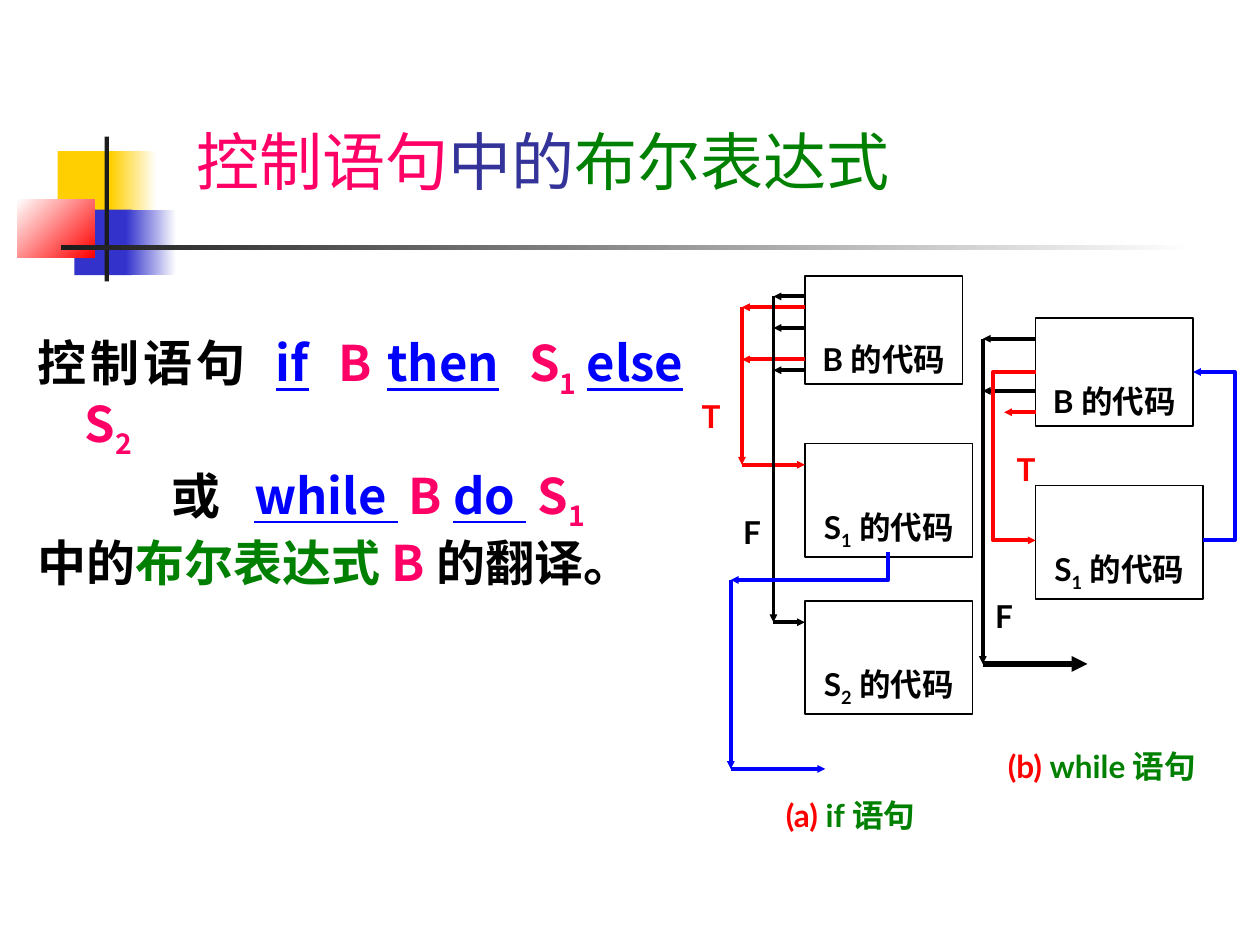
from typing import NamedTuple

from pptx import Presentation
from pptx.dml.color import RGBColor
from pptx.enum.shapes import MSO_CONNECTOR, MSO_SHAPE
from pptx.enum.text import MSO_ANCHOR, MSO_AUTO_SIZE, PP_ALIGN
from pptx.oxml.ns import qn
from pptx.util import Pt
from lxml import etree

RECT = MSO_SHAPE.RECTANGLE
STRAIGHT = MSO_CONNECTOR.STRAIGHT
TOP, BOTTOM = MSO_ANCHOR.TOP, MSO_ANCHOR.BOTTOM
LEFT, CENTER, JUSTIFY = PP_ALIGN.LEFT, PP_ALIGN.CENTER, PP_ALIGN.JUSTIFY
NO_AUTOFIT = MSO_AUTO_SIZE.NONE

SANS, LATO = "Noto Sans CJK JP", "Lato"
BLACK, WHITE, RED, BLUE = "000000", "FFFFFF", "FF0000", "0000FF"
PINK, GREEN, NAVY = "FF0066", "008000", "333399"
YELLOW, INDIGO, CHARCOAL = "FFCF01", "3333CC", "1C1C1C"


class Span(NamedTuple):
    text: str
    color: str = BLACK
    underline: bool = False
    subscript: bool = False


class Block(NamedTuple):
    x: float
    y: float
    w: float
    h: float
    start: str
    end: str = ""
    angle: float = 0


class Box(NamedTuple):
    x: float
    y: float
    w: float
    h: float
    spans: list[Span]


class Route(NamedTuple):
    color: str
    points: list[tuple[float, float]]
    width: float = 2.25
    head: str = "sm"


def rgb(value: str) -> RGBColor:
    return RGBColor.from_string(value)


def add_spans(p, spans: list[Span], font: str, size: float, bold: bool = True) -> None:
    for span in spans:
        r = p.add_run()
        r.text = span.text
        r.font.name, r.font.size, r.font.bold = font, Pt(size), bold
        r.font.color.rgb = rgb(span.color)
        if span.underline:
            r.font.underline = True
        rPr = r._r.get_or_add_rPr()
        if span.subscript:
            rPr.set("baseline", "-25000")
        etree.SubElement(rPr, qn("a:ea")).set("typeface", SANS)


def setup_frame(tf, anchor) -> None:
    tf.word_wrap, tf.auto_size, tf.vertical_anchor = True, NO_AUTOFIT, anchor


def draw_block(s, b: Block) -> None:
    sp = s.shapes.add_shape(RECT, Pt(b.x), Pt(b.y), Pt(b.w), Pt(b.h))
    sp.shadow.inherit = False
    sp.line.fill.background()
    if not b.end:
        sp.fill.solid()
        sp.fill.fore_color.rgb = rgb(b.start)
        return
    sp.fill.gradient()
    sp.fill.gradient_angle = b.angle
    for stop, color, position in zip(sp.fill.gradient_stops, (b.start, b.end), (0, 1)):
        stop.color.rgb = rgb(color)
        stop.position = position


def draw_code_box(s, b: Box) -> None:
    sp = s.shapes.add_shape(RECT, Pt(b.x), Pt(b.y), Pt(b.w), Pt(b.h))
    sp.shadow.inherit = False
    sp.fill.background()
    sp.line.color.rgb = rgb(BLACK)
    sp.line.width = Pt(1)
    setup_frame(sp.text_frame, BOTTOM)
    p = sp.text_frame.paragraphs[0]
    p.alignment = CENTER
    add_spans(p, b.spans, LATO, 18)


def draw_label(s, b: Box) -> None:
    tf = s.shapes.add_textbox(Pt(b.x), Pt(b.y), Pt(b.w), Pt(b.h)).text_frame
    setup_frame(tf, TOP)
    add_spans(tf.paragraphs[0], b.spans, LATO, 18)


def draw_route(s, route: Route) -> None:
    points = [(Pt(x), Pt(y)) for x, y in route.points]
    if len(points) == 2:
        sp = s.shapes.add_connector(STRAIGHT, *points[0], *points[1])
    else:
        builder = s.shapes.build_freeform(*points[0])
        builder.add_line_segments(points[1:], close=False)
        sp = builder.convert_to_shape()
        sp.fill.background()
    sp.line.color.rgb = rgb(route.color)
    sp.line.width = Pt(route.width)
    ln = sp.line._get_or_add_ln()
    etree.SubElement(ln, qn("a:tailEnd"), type="triangle", w=route.head, len=route.head)
    etree.SubElement(sp._element.spPr, qn("a:effectLst"))


prs = Presentation()
prs.slide_width, prs.slide_height = Pt(720), Pt(540)
s = prs.slides.add_slide(prs.slide_layouts[5])

# Corner decoration and title rule
for block in (
    Block(33, 86.4, 34.5, 37.4, YELLOW),
    Block(63.4, 86.4, 26, 37.4, YELLOW, WHITE),
    Block(42.5, 119.8, 33.1, 37.4, INDIGO),
    Block(72, 119.8, 28.8, 37.4, INDIGO, WHITE),
    Block(10, 113.8, 44, 33.4, WHITE, RED, 315),
    Block(59.8, 78, 2.5, 82.8, CHARCOAL),
    Block(34.8, 140.2, 648, 2.5, CHARCOAL, WHITE),
):
    draw_block(s, block)

# Title
title = s.shapes.title
title.left, title.top, title.width, title.height = Pt(105.1), Pt(49), Pt(613.4), Pt(67.7)
setup_frame(title.text_frame, BOTTOM)
p = title.text_frame.paragraphs[0]
p.alignment = LEFT
add_spans(p, [Span("控制语句", PINK), Span("中的", NAVY), Span("布尔表达式", GREEN)],
          SANS, 36, bold=False)

# Body: (left margin, first-line indent, alignment, spans)
ONE, TWO = Span("1", PINK, subscript=True), Span("2", PINK, subscript=True)
body = [
    (27, -27, JUSTIFY, [
        Span("控制语句 "), Span("if", BLUE, True), Span("  "), Span("B ", PINK),
        Span("then", BLUE, True), Span("  "), Span("S", PINK), ONE._replace(text="1 "),
        Span("else", BLUE, True), Span(" "), Span("S", PINK), TWO]),
    (76.5, 0, JUSTIFY, [
        Span("或  "), Span("while ", BLUE, True), Span(" "), Span("B ", PINK),
        Span("do ", BLUE, True), Span(" "), Span("S", PINK), ONE]),
    (27, -27, LEFT, [
        Span("中的"), Span("布尔表达式", GREEN), Span("B", PINK), Span("的翻译。")]),
]
tf = s.shapes.add_textbox(Pt(14.4), Pt(187.2), Pt(383), Pt(264.2)).text_frame
setup_frame(tf, TOP)
for i, (margin, indent, align, spans) in enumerate(body):
    p = tf.paragraphs[0] if i == 0 else tf.add_paragraph()
    p.alignment, p.line_spacing, p.space_before = align, 0.9, Pt(7)
    pPr = p._p.get_or_add_pPr()
    pPr.set("marL", str(Pt(margin)))
    pPr.set("indent", str(Pt(indent)))
    add_spans(p, spans, SANS, 28)

# Code boxes of both diagrams
IF_X, WHILE_X = 460, 591.8
B_CODE = [Span("B的代码")]
S1_CODE, S2_CODE = ([Span("S"), Span(n, subscript=True), Span("的代码")] for n in "12")
for box in (
    Box(IF_X, 157.6, 90, 62, B_CODE),
    Box(IF_X, 253.4, 95.8, 64.8, S1_CODE),
    Box(IF_X, 343.4, 95.8, 64.8, S2_CODE),
    Box(WHILE_X, 181.6, 90, 62, B_CODE),
    Box(WHILE_X, 277.4, 95.8, 64.8, S1_CODE),
):
    draw_code_box(s, box)

# Jumps: true exits red, false exits black, continuation blue
IF_T, IF_F, IF_NEXT, WHILE_F = 424, 442, 417.6, 561.6
routes = [Route(RED, [(IF_X, y), (IF_T, y)]) for y in (175.6, 205.4)]
routes += [Route(BLACK, [(IF_X, y), (IF_F, y)]) for y in (169.4, 187.4, 211.6)]
routes += [Route(BLACK, [(WHILE_X, y), (WHILE_F, y)]) for y in (193.6, 223.4)]
routes += [
    Route(RED, [(IF_T, 175.6), (IF_T, 265.6)]),
    Route(RED, [(IF_T, 265.6), (IF_X, 265.6)]),
    Route(BLACK, [(IF_F, 169.4), (IF_F, 355.6)]),
    Route(BLACK, [(IF_F, 355.6), (IF_X, 355.6)]),
    Route(BLUE, [(507.6, 315.2), (507.6, 331.4), (IF_NEXT, 331.4)]),
    Route(BLUE, [(IF_NEXT, 331.4), (IF_NEXT, 439.4)]),
    Route(BLUE, [(IF_NEXT, 439.4), (471.6, 439.4)]),
    Route(BLUE, [(687.6, 308.8), (705.6, 308.8), (705.6, 212.6), (681.8, 212.6)]),
    Route(RED, [(WHILE_X, 212.6), (567.4, 212.6), (567.4, 308.8), (WHILE_X, 308.8)]),
    Route(RED, [(WHILE_X, 235.6), (573.8, 235.6)]),
    Route(BLACK, [(WHILE_F, 193.6), (WHILE_F, 379.4)]),
    Route(BLACK, [(WHILE_F, 379.4), (621.4, 379.4)], 3, "med"),
]
for route in routes:
    draw_route(s, route)

# Branch labels and captions
for label in (
    Box(393.8, 223.2, 24, 29, [Span("T", RED)]),
    Box(573.8, 253.4, 24, 29, [Span("T", RED)]),
    Box(417.6, 289.4, 24, 29, [Span("F")]),
    Box(561.6, 337.6, 24, 29, [Span("F")]),
    Box(442, 451.4, 102, 29, [Span("(a) ", RED), Span("if语句", GREEN)]),
    Box(568.8, 423.4, 142.6, 29, [Span("(b) ", RED), Span("while语句", GREEN)]),
):
    draw_label(s, label)

prs.save("out.pptx")
